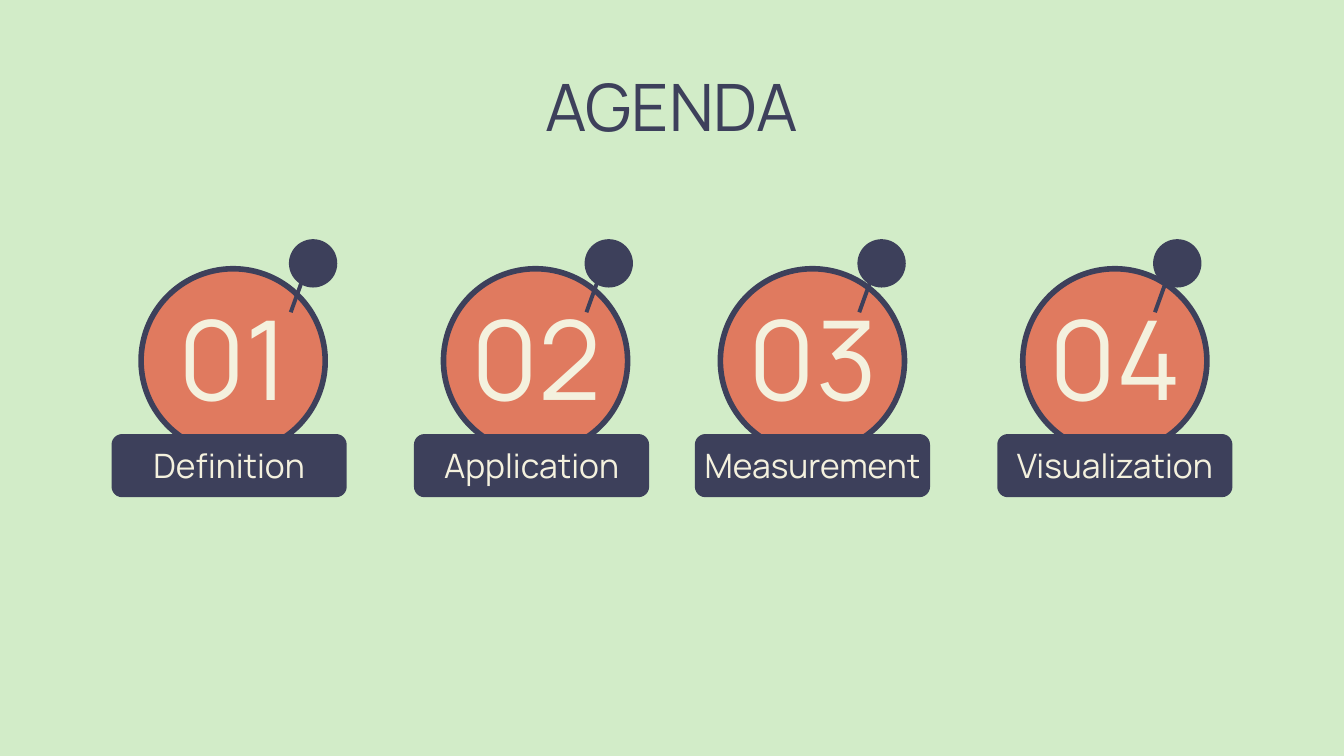
import pptx
import pptx.util
import pptx.dml.color
import pptx.enum.shapes
import pptx.enum.text

Inches = pptx.util.Inches
SHAPE = pptx.enum.shapes.MSO_SHAPE
ANCHOR = pptx.enum.text.MSO_ANCHOR
NAVY, CORAL, CREAM, GREEN = "3D405B", "E07A5F", "F4F1DE", "D2ECC8"


def paint(fmt, color):
    """Apply a solid hex colour to a fill."""
    fmt.solid()
    fmt.fore_color.rgb = pptx.dml.color.RGBColor.from_string(color)


def write(sp, text, size, color=CREAM, anchor=ANCHOR.MIDDLE):
    """Put one centred line of text in a shape, without margins."""
    tf = sp.text_frame
    tf.margin_left = tf.margin_right = tf.margin_top = tf.margin_bottom = 0
    tf.word_wrap = True
    tf.auto_size = pptx.enum.text.MSO_AUTO_SIZE.NONE
    tf.vertical_anchor = anchor
    p = tf.paragraphs[0]
    p.alignment = pptx.enum.text.PP_ALIGN.CENTER
    r = p.add_run()
    r.text = text
    r.font.name = "Manrope"
    r.font.size = pptx.util.Pt(size)
    paint(r.font.fill, color)


# A 16:9 slide
prs = pptx.Presentation()
prs.slide_width = Inches(10)
prs.slide_height = prs.slide_width * 9 // 16
s = prs.slides.add_slide(prs.slide_layouts[5])
paint(s.background.fill, GREEN)

# Title
title = s.shapes.title
title.left, title.top = Inches(0.78), Inches(0.49)
title.width, title.height = Inches(8.44), Inches(0.63)
write(title, "AGENDA", 35, color=NAVY, anchor=ANCHOR.TOP)

# Agenda items: label, left edges of the bar, the disc and the pin head
items = [
    ("Definition", 0.83, 1.05, 2.15),
    ("Application", 3.08, 3.3, 4.35),
    ("Measurement", 5.17, 5.36, 6.38),
    ("Visualization", 7.42, 7.61, 8.58),
]
for number, (label, bar_x, disc_x, pin_x) in enumerate(items, 1):
    # Numbered disc
    disc = s.shapes.add_shape(SHAPE.OVAL, Inches(disc_x), Inches(2),
                              Inches(1.37), Inches(1.37))
    disc.rotation = 8.7
    paint(disc.fill, CORAL)
    paint(disc.line.fill, NAVY)
    disc.line.width = pptx.util.Pt(3)
    num = s.shapes.add_textbox(Inches(disc_x - 0.16), Inches(1.91),
                               Inches(1.7), Inches(1.49))
    write(num, f"{number:02d}", 59)

    # Pin: slanted needle and round head
    pin = s.shapes.add_group_shape()
    needle = pin.shapes.add_shape(SHAPE.RECTANGLE, Inches(pin_x + 0.09), Inches(1.8),
                                  Inches(0.03), Inches(0.54))
    needle.rotation = 19.8
    head = pin.shapes.add_shape(SHAPE.OVAL, Inches(pin_x), Inches(1.78),
                                Inches(0.36), Inches(0.36))

    # Label on its bar
    bar = s.shapes.add_shape(SHAPE.ROUNDED_RECTANGLE, Inches(bar_x), Inches(3.23),
                             Inches(1.75), Inches(0.47))
    caption = s.shapes.add_textbox(Inches(bar_x), Inches(3.23),
                                   Inches(1.75), Inches(0.46))
    write(caption, label, 18)

    for sp in (needle, head, bar):
        paint(sp.fill, NAVY)
        sp.line.fill.background()
    for sp in (disc, needle, head, bar):
        sp.shadow.inherit = False

prs.save("out.pptx")
